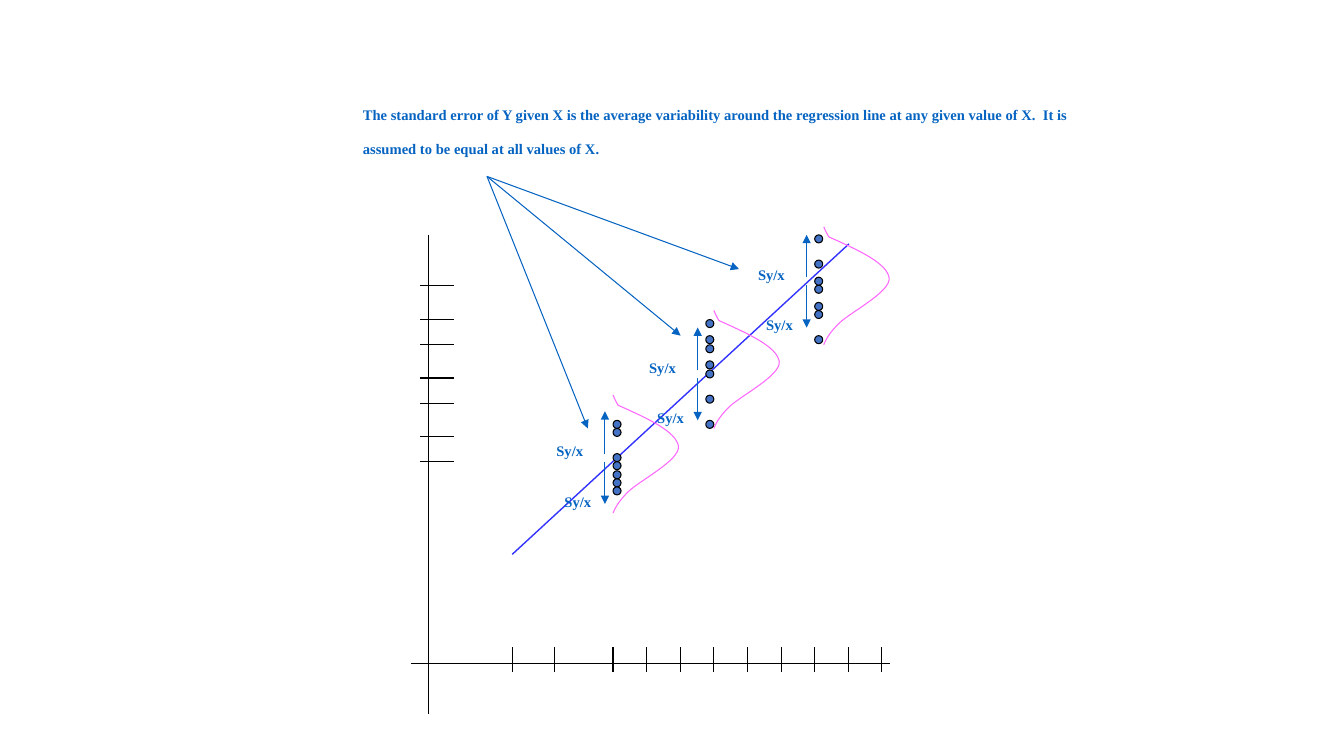
from dataclasses import dataclass

from lxml.etree import SubElement
from pptx import Presentation
from pptx.dml.color import RGBColor
from pptx.enum.shapes import MSO_CONNECTOR, MSO_SHAPE
from pptx.enum.text import MSO_AUTO_SIZE
from pptx.oxml.ns import qn
from pptx.util import Inches, Pt


@dataclass(frozen=True)
class Theme:
    axis: RGBColor = RGBColor(0x00, 0x00, 0x00)
    regression: RGBColor = RGBColor(0x33, 0x33, 0xFF)
    observation: RGBColor = RGBColor(0x44, 0x72, 0xC4)
    bell: RGBColor = RGBColor(0xFF, 0x66, 0xFF)
    note: RGBColor = RGBColor(0x05, 0x63, 0xC1)
    font: str = "Times New Roman"
    text_size: Pt = Pt(18)
    thin: Pt = Pt(0.75)
    medium: Pt = Pt(1)


@dataclass(frozen=True)
class Sample:
    """Observations of Y at one X; x and mean locate its error arrows."""
    x: float
    mean: float
    bell_corner: tuple
    dot_tops: tuple


THEME = Theme()
SAMPLES = (
    Sample(6, 4.5, (6.08, 3.92), (4.17, 4.25, 4.5, 4.58, 4.67, 4.75, 4.83)),
    Sample(6.92, 3.67, (7.08, 3.08), (3.17, 3.33, 3.42, 3.58, 3.67, 3.92, 4.17)),
    Sample(8, 2.75, (8.17, 2.25), (2.33, 2.58, 2.75, 2.83, 3, 3.08, 3.33)),
)
X_TICKS = [5.08, 5.5] + [6.08 + i / 3 for i in range(9)]
Y_TICKS = (2.83, 3.17, 3.42, 3.75, 4, 4.33, 4.58)
NOTE_TARGETS = ((7.33, 2.67), (6.75, 3.33), (5.83, 4.25))
DOT_SIZE = 0.08
# A start point, then three points for each Bezier segment
BELL = (
    (0.05, 0.1),
    (0.34, 0.23), (0.63, 0.36), (0.65, 0.51),
    (0.66, 0.65), (0.26, 0.85), (0.15, 0.96),
    (0.04, 1.07), (0.02, 1.13), (0, 1.17),
)
BELL_TIP = ((0.05, 0.1), (0.05, 0.1), (0.02, 0.05), (0, 0))


def add_line(slide, start, end, color, width=THEME.thin, arrow=False):
    ends = [Inches(value) for value in (*start, *end)]
    line = slide.shapes.add_connector(MSO_CONNECTOR.STRAIGHT, *ends)
    line.line.color.rgb = color
    line.line.width = width
    if arrow:
        SubElement(line.line._get_or_add_ln(), qn("a:tailEnd"), type="triangle")
    SubElement(line._element.spPr, qn("a:effectLst"))


def add_note(slide, left, top, width, height, *parts):
    """Add a text box whose parts are all set as subscript."""
    box = slide.shapes.add_textbox(
        Inches(left), Inches(top), Inches(width), Inches(height))
    box.text_frame.word_wrap = True
    box.text_frame.auto_size = MSO_AUTO_SIZE.SHAPE_TO_FIT_TEXT
    paragraph = box.text_frame.paragraphs[0]
    for part in parts:
        run = paragraph.add_run()
        run.text = part
        run.font.name = THEME.font
        run.font.size = THEME.text_size
        run.font.bold = True
        run.font.color.rgb = THEME.note
        run.font._element.set("baseline", "-25000")


def add_dot(slide, left, top):
    dot = slide.shapes.add_shape(
        MSO_SHAPE.OVAL, Inches(left), Inches(top),
        Inches(DOT_SIZE), Inches(DOT_SIZE))
    dot.shadow.inherit = False
    dot.fill.solid()
    dot.fill.fore_color.rgb = THEME.observation
    dot.line.color.rgb = THEME.axis
    dot.line.width = THEME.thin


def add_curve(slide, corner, points):
    """Add a freeform and turn each three of its line segments into a Bezier."""
    left, top = corner
    placed = [(Inches(left + x), Inches(top + y)) for x, y in points]
    builder = slide.shapes.build_freeform(*placed[0])
    builder.add_line_segments(placed[1:], close=False)
    curve = builder.convert_to_shape()
    curve.shadow.inherit = False
    curve.fill.background()
    curve.line.color.rgb = THEME.bell
    curve.line.width = THEME.thin
    outline = next(curve._element.iter(qn("a:path")))
    segments = outline.findall(qn("a:lnTo"))
    for first in range(0, len(segments), 3):
        bezier = SubElement(outline, qn("a:cubicBezTo"))
        for segment in segments[first:first + 3]:
            bezier.append(segment[0])
            outline.remove(segment)


def add_axes(slide):
    add_line(slide, (4.25, 2.33), (4.25, 7.08), THEME.axis)
    add_line(slide, (4.08, 6.58), (8.83, 6.58), THEME.axis)
    for x in X_TICKS:
        add_line(slide, (x, 6.42), (x, 6.67), THEME.axis)
    for y in Y_TICKS:
        add_line(slide, (4.17, y), (4.5, y), THEME.axis)


def add_sample(slide, sample):
    for top in sample.dot_tops:
        add_dot(slide, sample.x + 0.08, top)
    for points in (BELL, BELL_TIP):
        add_curve(slide, sample.bell_corner, points)


def add_errors(slide, sample):
    """Add the arrows and labels above and below the mean."""
    x, mean = sample.x, sample.mean
    for start, end, label_left, label_top in (
            (0, -0.42, -0.58, -0.33), (0.08, 0.5, -0.5, 0.17)):
        add_line(slide, (x, mean + start), (x, mean + end), THEME.note, arrow=True)
        add_note(slide, x + label_left, mean + label_top, 0.83, 0.4, "S", "y/x")


def main():
    presentation = Presentation()
    presentation.slide_width = Inches(13.33)
    presentation.slide_height = Inches(7.5)
    slide = presentation.slides.add_slide(presentation.slide_layouts[6])

    add_axes(slide)
    add_line(slide, (5.08, 5.5), (8.42, 2.42), THEME.regression, THEME.medium)
    for sample in SAMPLES:
        add_sample(slide, sample)
    add_note(slide, 3.5, 0.83, 7.58, 1,
             "The standard error of Y given X is the average variability around "
             "the regression line at any given value of X.  It is assumed to be "
             "equal at all values of X.")
    for sample in SAMPLES:
        add_errors(slide, sample)
    for target in NOTE_TARGETS:
        add_line(slide, (4.83, 1.75), target, THEME.note, arrow=True)

    presentation.save("out.pptx")


if __name__ == "__main__":
    main()
